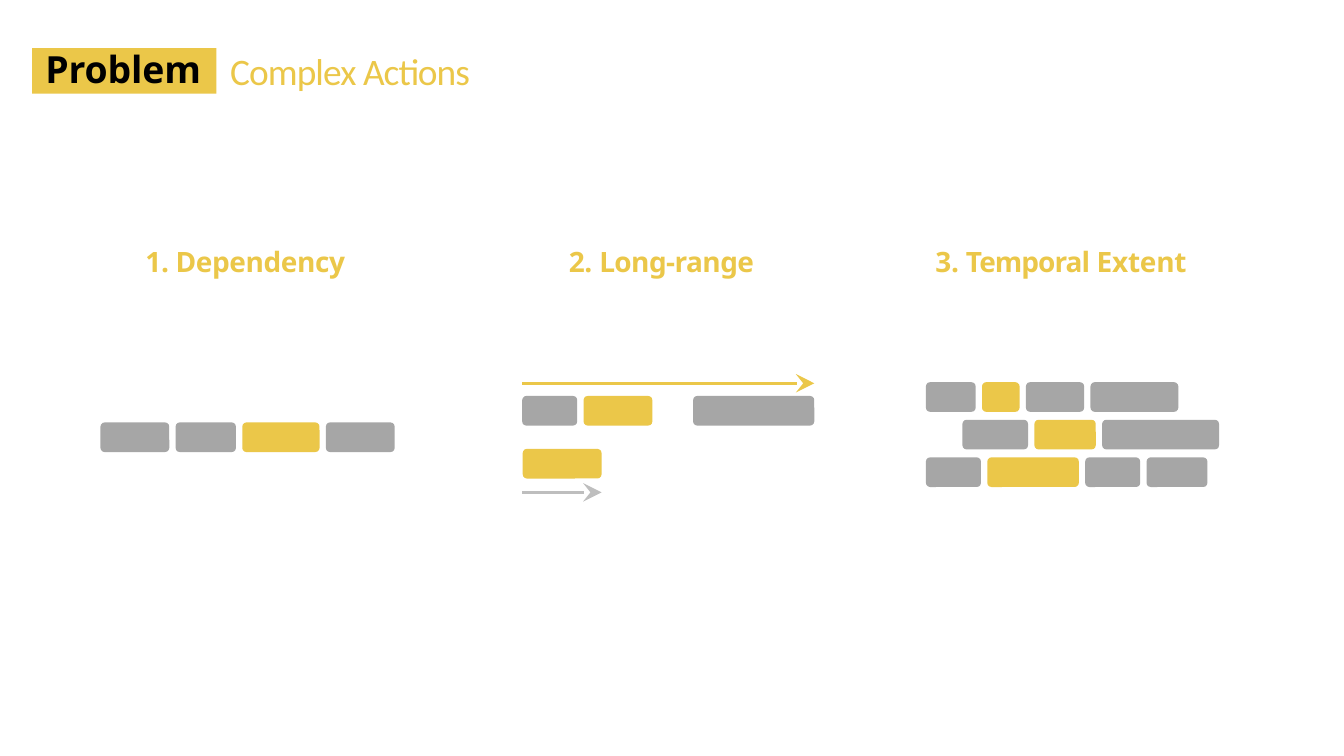
"""Build the slide on the three traits of complex actions."""
from dataclasses import dataclass

from lxml.etree import SubElement
from pptx import Presentation
from pptx.dml.color import RGBColor
from pptx.enum.shapes import MSO_CONNECTOR, MSO_SHAPE
from pptx.enum.text import MSO_ANCHOR, PP_ALIGN
from pptx.oxml.ns import qn
from pptx.util import Cm, Pt


@dataclass(frozen=True)
class Theme:
    gold: RGBColor = RGBColor.from_string("EBC749")
    gray: RGBColor = RGBColor.from_string("A6A6A6")
    pale: RGBColor = RGBColor.from_string("BEBEBE")
    black: RGBColor = RGBColor.from_string("000000")
    bold: str = "Noto Sans"
    plain: str = "Calibri"
    title: int = 20
    head: int = 15


THEME = Theme()
WIDE, HIGH = 25.4, 14.28
BLOCK, GAP, ROUND = 0.56, 0.12, 0.14
HEAD_TOP, HEAD_HIGH = 4.52, 0.71

BADGE = (0.61, 0.91, 3.48, 0.86)
TITLE = (4.32, 0.84, 5.94, 0.91)

HEADS = [
    (2.72, 3.94, [("1. Dependency", -0.2)]),
    (10.72, 3.61, [("2. ", -0.2), ("Long-range", -0.3)]),
    (17.65, 4.98, [("3. ", -0.2), ("Temporal ", -0.5), ("Extent", -0.1)]),
]

ROWS = [
    {"left": 1.9, "top": 7.98, "widths": [1.3, 1.14, 1.46, 1.3], "gold": 2},
    {"left": 9.87, "top": 7.48, "widths": [1.04, 1.3], "gold": 1},
    {"left": 13.1, "top": 7.48, "widths": [2.29], "gold": None},
    {"left": 9.88, "top": 8.48, "widths": [1.49], "gold": 0},
    {"left": 17.5, "top": 7.22, "widths": [0.94, 0.71, 1.1, 1.66], "gold": 1},
    {"left": 18.19, "top": 7.93, "widths": [1.24, 1.16, 2.21], "gold": 1},
    {"left": 17.5, "top": 8.64, "widths": [1.04, 1.73, 1.04, 1.15], "gold": 1},
]

ARROWS = [
    (9.87, 15.39, 7.24, THEME.gold),
    (9.87, 11.37, 9.3, THEME.pale),
]


def write(shape, parts, *, size, font, color, bold=False, left=0.03,
          top=0.09, anchor=MSO_ANCHOR.TOP, line=None):
    """Fill a shape with one line of runs, each with its own spacing."""
    frame = shape.text_frame
    frame.word_wrap = True
    frame.vertical_anchor = anchor
    frame.margin_left, frame.margin_top = Cm(left), Cm(top)
    frame.margin_right = frame.margin_bottom = 0
    para = frame.paragraphs[0]
    para.alignment = PP_ALIGN.LEFT
    if line:
        para.line_spacing = Pt(line)
    for text, space in parts:
        run = para.add_run()
        run.text = text
        run.font.size, run.font.name, run.font.bold = Pt(size), font, bold
        run.font.color.rgb = color
        run.font._element.set("spc", str(round(space * 100)))


def add_block(slide, kind, box, color):
    """Add a flat filled shape without outline."""
    shape = slide.shapes.add_shape(kind, *map(Cm, box))
    shape.shadow.inherit = False
    shape.fill.solid()
    shape.fill.fore_color.rgb = color
    shape.line.fill.background()
    return shape


def add_row(slide, left, top, widths, gold):
    """Lay rounded blocks side by side, one of them gold."""
    for spot, width in enumerate(widths):
        color = THEME.gold if spot == gold else THEME.gray
        block = add_block(slide, MSO_SHAPE.ROUNDED_RECTANGLE,
                          (left, top, width, BLOCK), color)
        block.adjustments[0] = ROUND
        left += width + GAP


def add_arrow(slide, start, end, level, color):
    """Draw a level arrow that points right."""
    arrow = slide.shapes.add_connector(
        MSO_CONNECTOR.STRAIGHT, Cm(start), Cm(level), Cm(end), Cm(level))
    arrow.line.color.rgb = color
    arrow.line.width = Pt(1.75)
    SubElement(arrow.line._get_or_add_ln(), qn("a:tailEnd"),
               type="stealth", w="lg", len="lg")
    SubElement(arrow._element.spPr, qn("a:effectLst"))


def main():
    """Put all parts on the slide and save it."""
    deck = Presentation()
    deck.slide_width, deck.slide_height = Cm(WIDE), Cm(HIGH)
    slide = deck.slides.add_slide(deck.slide_layouts[6])

    for left, width, parts in HEADS:
        box = slide.shapes.add_textbox(*map(Cm, (left, HEAD_TOP, width, HEAD_HIGH)))
        write(box, parts, size=THEME.head, font=THEME.bold,
              color=THEME.gold, bold=True)
    for row in ROWS:
        add_row(slide, **row)
    for arrow in ARROWS:
        add_arrow(slide, *arrow)

    badge = add_block(slide, MSO_SHAPE.RECTANGLE, BADGE, THEME.gold)
    write(badge, [("Problem", -0.1)], size=THEME.title, font=THEME.bold,
          color=THEME.black, bold=True, left=0.25, top=0, line=23)
    title = slide.shapes.add_textbox(*map(Cm, TITLE))
    write(title, [("Complex Actions", -0.5)], size=THEME.title,
          font=THEME.plain, color=THEME.gold, top=0.06,
          anchor=MSO_ANCHOR.MIDDLE)
    deck.save("out.pptx")


if __name__ == "__main__":
    main()
